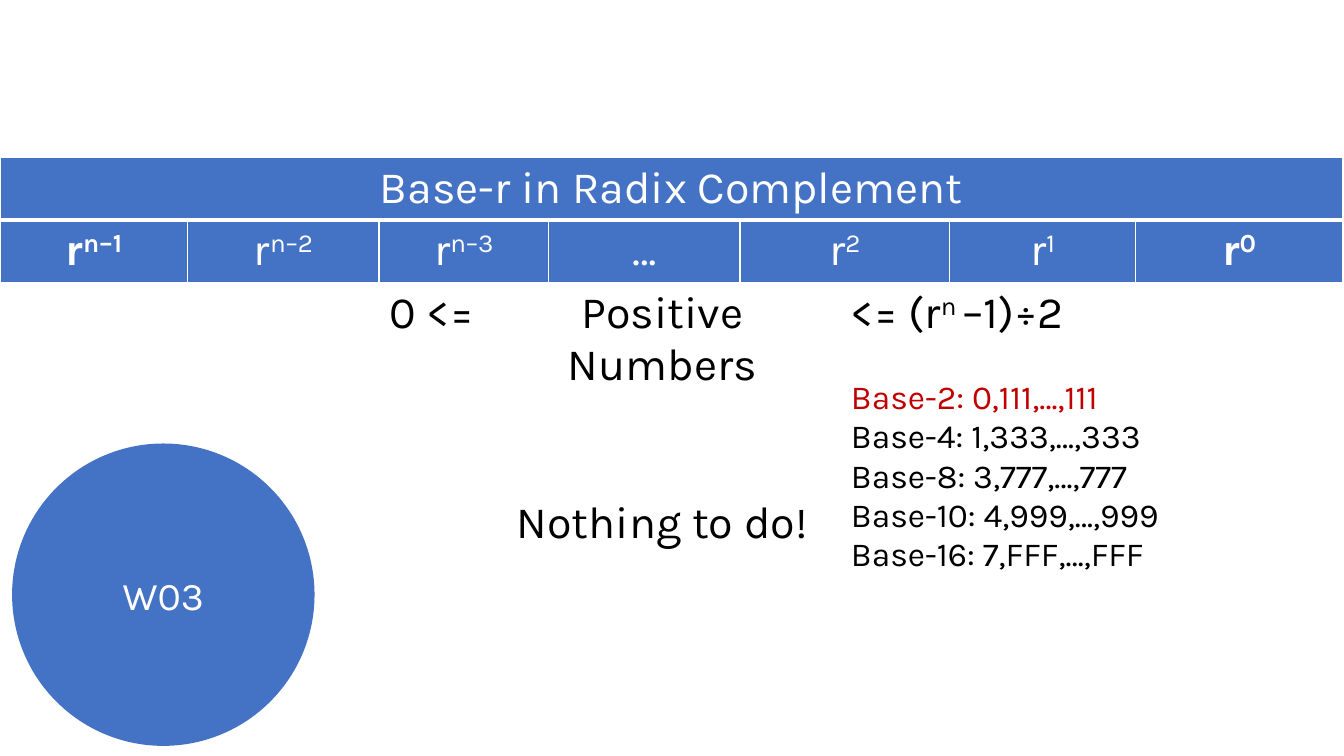
"""Build a slide on positive numbers in base-r radix complement."""
from lxml import etree
from pptx import Presentation, util as u
from pptx.dml.color import RGBColor
from pptx.enum import shapes, text
from pptx.oxml import ns

THEME = {
    "font": "Karla",
    "blue": RGBColor.from_string("4472C4"),
    "white": RGBColor.from_string("FFFFFF"),
    "black": RGBColor.from_string("000000"),
    "red": RGBColor.from_string("C00000"),
    "large": u.Pt(32),
    "medium": u.Pt(28),
    "small": u.Pt(24),
}
LEFT, CENTER, RIGHT = (text.PP_ALIGN.LEFT, text.PP_ALIGN.CENTER,
                       text.PP_ALIGN.RIGHT)


def write(para, pieces, align, color="black", size="large", bold=False, before=0):
    """Fill a paragraph with pieces that alternate normal and raised text."""
    para.alignment = align
    para.space_before = u.Pt(before)
    for index, piece in enumerate(pieces):
        span = para.add_run()
        span.text = piece
        style = {"name": THEME["font"], "size": THEME[size], "bold": bold}
        for name, value in style.items():
            setattr(span.font, name, value)
        span.font.color.rgb = THEME[color]
        if index % 2:
            span._r.get_or_add_rPr().set("baseline", "30000")


def draw_borders(cell, bottom):
    """Give a cell white edges, with its own bottom width in points."""
    props = cell._tc.get_or_add_tcPr()
    for edge, width in {"lnL": 1, "lnR": 1, "lnT": 1, "lnB": bottom}.items():
        line = etree.SubElement(props, ns.qn(f"a:{edge}"), w=str(u.Pt(width)))
        fill = etree.SubElement(line, ns.qn("a:solidFill"))
        etree.SubElement(fill, ns.qn("a:srgbClr"), val=str(THEME["white"]))


deck = Presentation()
deck.slide_width, deck.slide_height = u.Inches(13.33), u.Inches(7.5)
page = deck.slides.add_slide(deck.slide_layouts[6])

widths = [1.86, 1.9, 1.04, 0.64, 1.9, 1, 1.08, 1.84, 2.06]
heights = [0.61, 0.61, 3.37, 0.61]
table = page.shapes.add_table(
    len(heights), len(widths), u.Inches(0), u.Inches(1.56),
    u.Inches(sum(widths)), u.Inches(sum(heights))).table
table.horz_banding = False
for column, width in zip(table.columns, widths):
    column.width = u.Inches(width)
for row, height in zip(table.rows, heights):
    row.height = u.Inches(height)

for row_index, row in enumerate(table.rows):
    for cell in row.cells:
        draw_borders(cell, 3 if row_index == 0 else 1)
        if row_index < 2:
            cell.fill.solid()
            cell.fill.fore_color.rgb = THEME["blue"]
        else:
            cell.fill.background()

merges = [(0, 0, 8), (1, 2, 3), (1, 5, 6), (2, 0, 2), (2, 3, 5), (2, 6, 8), (3, 0, 8)]
for row_index, first, last in merges:
    table.cell(row_index, first).merge(table.cell(row_index, last))

write(table.cell(0, 0).text_frame.paragraphs[0],
      ["Base-r in Radix Complement"], CENTER, "white")

places = {0: ["r", "n–1"], 1: ["r", "n–2"], 2: ["r", "n–3"], 4: ["…"],
          5: ["r", "2"], 7: ["r", "1"], 8: ["r", "0"]}
for column_index, pieces in places.items():
    write(table.cell(1, column_index).text_frame.paragraphs[0], pieces,
          CENTER, "white", bold=column_index in (0, 8))

write(table.cell(2, 0).text_frame.paragraphs[0], ["0 <="], RIGHT)

middle = table.cell(2, 3).text_frame
write(middle.paragraphs[0], ["Positive Numbers"], CENTER)
write(middle.add_paragraph(), ["Nothing to do!"], CENTER, before=75)

limits = table.cell(2, 6).text_frame
write(limits.paragraphs[0], ["<= (r", "n ", "–1)÷2"], LEFT)
largest = {2: "0,111,…,111", 4: "1,333,…,333", 8: "3,777,…,777",
           10: "4,999,…,999", 16: "7,FFF,…,FFF"}
for base, digits in largest.items():
    write(limits.add_paragraph(), [f"Base-{base}: {digits}"], LEFT,
          "red" if base == 2 else "black", "small", before=28 if base == 2 else 0)

badge = page.shapes.add_shape(shapes.MSO_SHAPE.OVAL, u.Inches(0.12),
                              u.Inches(4.4), u.Inches(3), u.Inches(3))
badge.shadow.inherit = False
badge.fill.solid()
badge.fill.fore_color.rgb = THEME["blue"]
badge.line.fill.background()
badge.text_frame.vertical_anchor = text.MSO_ANCHOR.MIDDLE
write(badge.text_frame.paragraphs[0], ["W03"], CENTER, "white", "medium")

deck.save("out.pptx")
